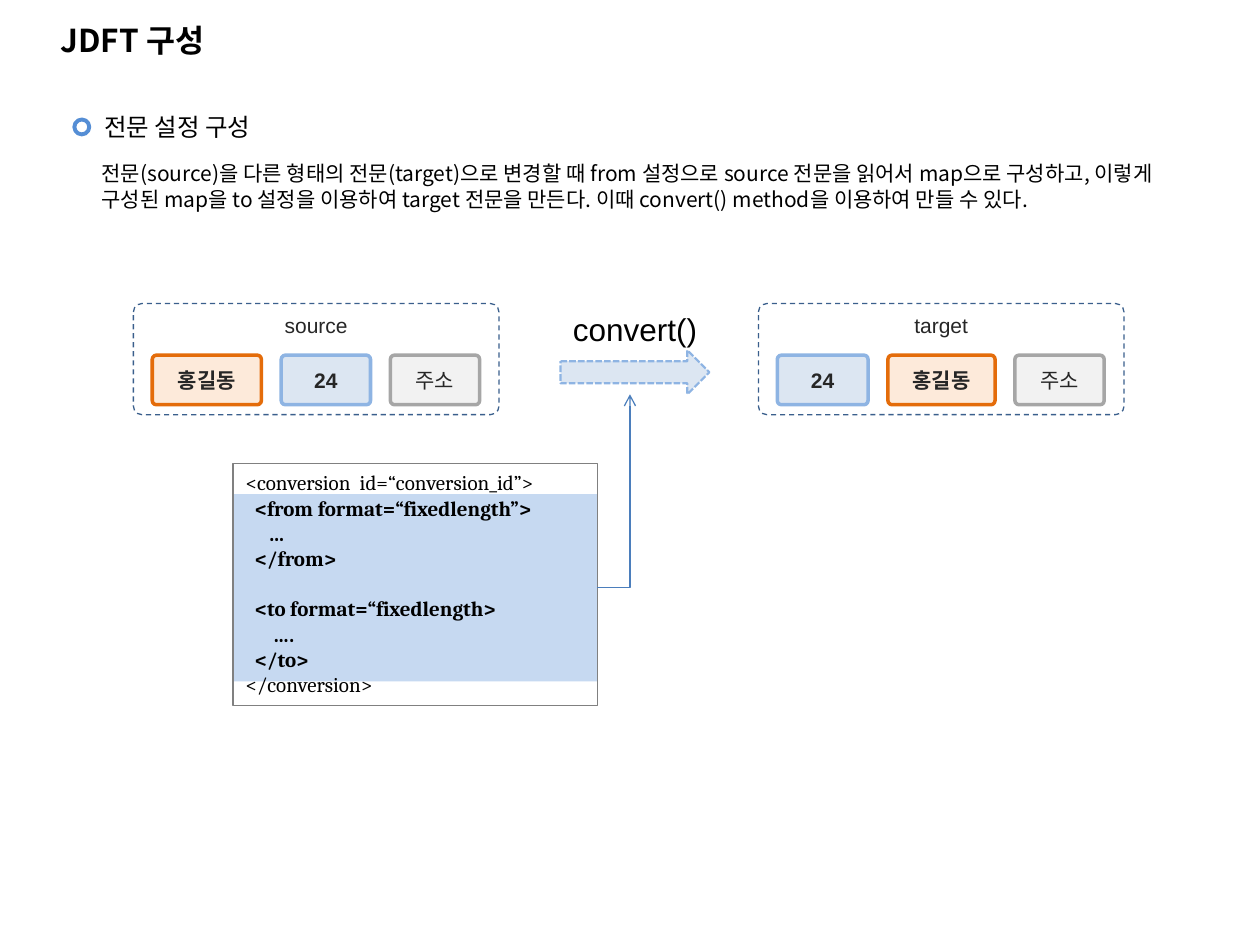
from dataclasses import dataclass

from lxml.etree import SubElement
from pptx import Presentation
from pptx.dml.color import RGBColor
from pptx.enum.dml import MSO_LINE as Dash
from pptx.enum.shapes import MSO_CONNECTOR as Link, MSO_SHAPE as Shape
from pptx.enum.text import MSO_ANCHOR as Anchor, PP_ALIGN as Align
from pptx.oxml.ns import qn
from pptx.util import Cm, Pt


@dataclass(frozen=True)
class Theme:
    korean: str = "Noto Sans CJK KR"
    label: str = "Arial"
    code: str = "Cambria"
    title_size: float = 18
    heading_size: float = 14
    body_size: float = 12
    code_line: float = 14.4
    ink: str = "000000"
    label_ink: str = "262626"
    ring: str = "558ED5"
    panel_line: str = "3A5F8C"
    code_border: str = "808080"
    highlight: str = "C6D9F1"
    link: str = "4B7EBC"
    blue: tuple = ("DCE6F2", "8EB4E3")
    orange: tuple = ("FDEADA", "E46C0A")
    grey: tuple = ("F2F2F2", "A6A6A6")


theme = Theme()

TITLE = "JDFT 구성"
HEADING = "전문 설정 구성"
EXPLANATION = (
    "전문(source)을 다른 형태의 전문(target)으로 변경할 때 from 설정으로 "
    "source 전문을 읽어서 map으로 구성하고, 이렇게 구성된 map을 to 설정을 "
    "이용하여 target 전문을 만든다. 이때 convert() method을 이용하여 만들 수 있다."
)
# field: text, width in cm, fill and line colours, bold
MESSAGES = [
    ("source", 2.69, [("홍길동", 2.2, theme.orange, True),
                      ("24", 1.8, theme.blue, True),
                      ("주소", 1.8, theme.grey, False)]),
    ("target", 15.29, [("24", 1.83, theme.blue, True),
                       ("홍길동", 2.16, theme.orange, True),
                       ("주소", 1.8, theme.grey, False)]),
]
# code line: text, bold, space before in points
CODE = [
    ("<conversion  id=“conversion_id”>", False, 0),
    ("  <from format=“fixedlength”>", True, 0),
    ("     …", True, 0),
    ("  </from>", True, 0),
    ("  <to format=“fixedlength>", True, theme.code_line),
    ("      ….", True, 0),
    ("  </to>", True, 0),
    ("</conversion>", False, 0),
]

PANEL_TOP, PANEL_WIDTH, PANEL_HEIGHT = 6.12, 7.37, 2.24
FIELD_TOP, FIELD_HEIGHT, FIELD_INDENT, FIELD_GAP = 7.16, 1.0, 0.38, 0.4
CODE_LEFT, CODE_TOP, CODE_WIDTH, CODE_HEIGHT = 4.7, 9.35, 7.34, 4.88
ARROW_LEFT, ARROW_WIDTH = 11.3, 3.0

deck = Presentation()
deck.slide_width, deck.slide_height = Cm(25.4), Cm(19.05)
slide = deck.slides.add_slide(deck.slide_layouts[6])


def write(holder, text, *, font=theme.korean, size=theme.body_size, color=theme.ink,
          bold=False, align=Align.LEFT, anchor=Anchor.TOP, wrap=True,
          before=0, more=False):
    """Put text in a shape; more=True adds a paragraph after those already there."""
    frame = holder.text_frame
    frame.word_wrap, frame.vertical_anchor = wrap, anchor
    paragraph = frame.add_paragraph() if more else frame.paragraphs[0]
    paragraph.alignment = align
    if before:
        paragraph.space_before = Pt(before)
    run = paragraph.add_run()
    run.text = text
    run.font.name, run.font.size, run.font.bold = font, Pt(size), bold
    run.font.color.rgb = RGBColor.from_string(color)
    SubElement(run.font._element, qn("a:ea"), typeface=theme.korean)


def add_text(box, text, **text_format):
    write(slide.shapes.add_textbox(*map(Cm, box)), text, **text_format)


def add_shape(kind, box, fill=None, line=None, weight=0.75, dash=None, corner=None):
    shape = slide.shapes.add_shape(kind, *map(Cm, box))
    shape.shadow.inherit = False
    if corner is not None:
        shape.adjustments[0] = corner
    if fill:
        shape.fill.solid()
        shape.fill.fore_color.rgb = RGBColor.from_string(fill)
    else:
        shape.fill.background()
    if line:
        shape.line.color.rgb = RGBColor.from_string(line)
        shape.line.width = Pt(weight)
        if dash:
            shape.line.dash_style = dash
    else:
        shape.line.fill.background()
    return shape


def add_message(name, left, fields):
    panel = add_shape(Shape.ROUNDED_RECTANGLE,
                      (left, PANEL_TOP, PANEL_WIDTH, PANEL_HEIGHT),
                      line=theme.panel_line, dash=Dash.DASH, corner=0.076)
    write(panel, name, font=theme.label, color=theme.label_ink, align=Align.CENTER)
    field_left = left + FIELD_INDENT
    for text, width, (fill, line), bold in fields:
        field = add_shape(Shape.ROUNDED_RECTANGLE,
                          (field_left, FIELD_TOP, width, FIELD_HEIGHT),
                          fill, line, weight=2, corner=0.085)
        write(field, text, font=theme.label, color=theme.label_ink, bold=bold,
              align=Align.CENTER, anchor=Anchor.MIDDLE)
        field_left += width + FIELD_GAP


def add_bent_arrow(start, end):
    """Draw a one-bend arrow that leaves sideways and arrives vertically."""
    link = slide.shapes.add_connector(Link.ELBOW, *map(Cm, start + end))
    link.line.color.rgb = RGBColor.from_string(theme.link)
    link.line.width = Pt(0.75)
    properties = link._element.spPr
    properties.find(qn("a:prstGeom")).set("prst", "bentConnector2")
    SubElement(properties.find(qn("a:ln")), qn("a:tailEnd"), type="arrow")
    SubElement(properties, qn("a:effectLst"))


add_text((0.97, 0.33, 22.86, 0.99), TITLE, size=theme.title_size, bold=True,
         anchor=Anchor.BOTTOM)
add_text((1.85, 2.13, 22.86, 0.86), HEADING, size=theme.heading_size)
add_shape(Shape.OVAL, (1.5, 2.41, 0.3, 0.3), line=theme.ring, weight=2.25)
add_text((1.8, 3.12, 22.02, 1.27), EXPLANATION)

for message in MESSAGES:
    add_message(*message)

arrow_fill, arrow_line = theme.blue
add_shape(Shape.RIGHT_ARROW, (ARROW_LEFT, 7.06, ARROW_WIDTH, 0.89),
          arrow_fill, arrow_line, weight=1.25, dash=Dash.SQUARE_DOT)
add_text((ARROW_LEFT, PANEL_TOP, 3.05, 1.02), "convert()", font=theme.label,
         size=theme.title_size, wrap=False)

add_shape(Shape.RECTANGLE, (CODE_LEFT, 9.96, CODE_WIDTH, 3.78), theme.highlight)
code_box = add_shape(Shape.RECTANGLE, (CODE_LEFT, CODE_TOP, CODE_WIDTH, CODE_HEIGHT),
                     line=theme.code_border)
for number, (text, bold, before) in enumerate(CODE):
    write(code_box, text, font=theme.code, bold=bold, before=before, more=number > 0)

add_bent_arrow((CODE_LEFT + CODE_WIDTH, 11.84), (12.7, 7.95))

deck.save("out.pptx")
